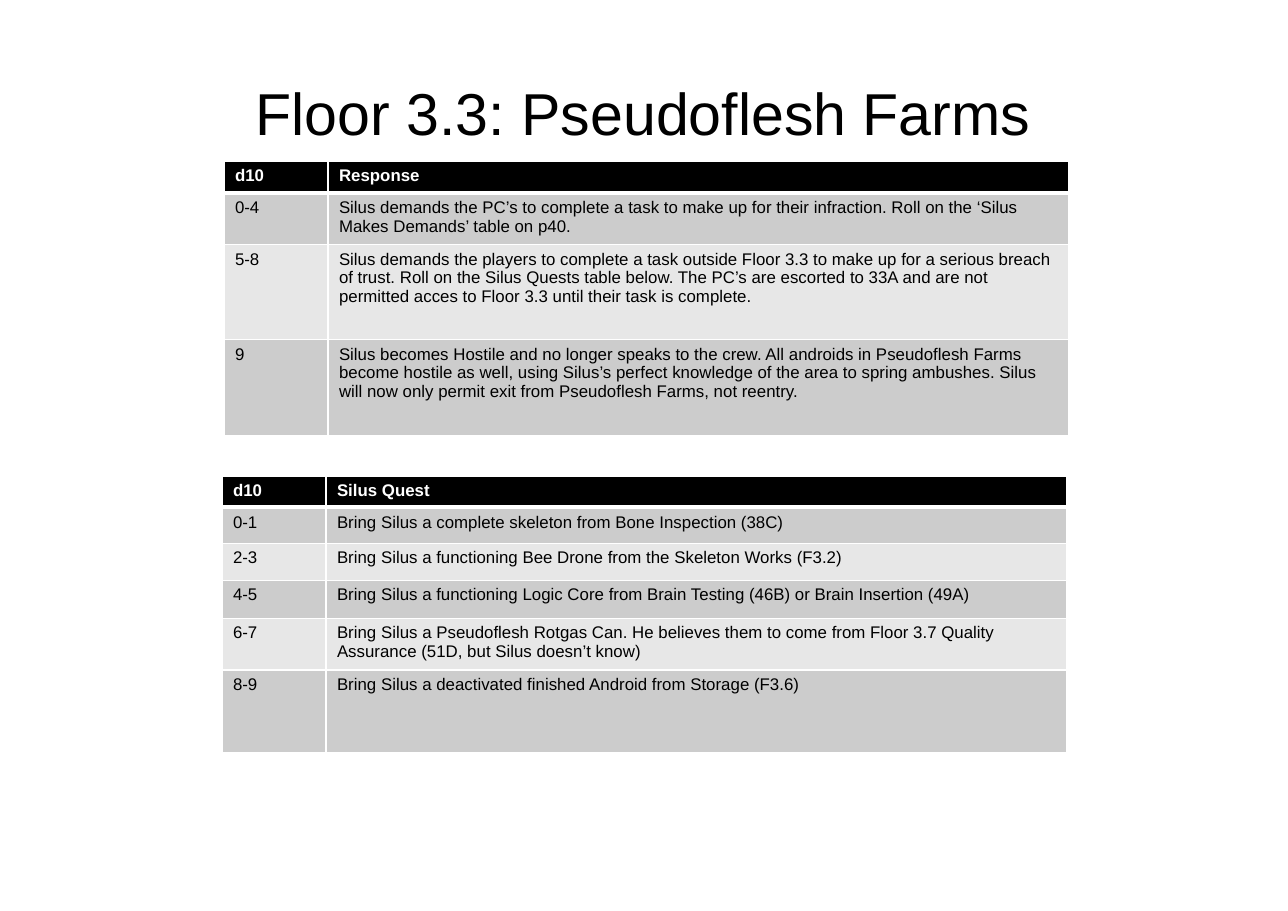
from lxml import etree
from pptx import Presentation
from pptx.dml.color import RGBColor
from pptx.enum.text import MSO_ANCHOR, PP_ALIGN
from pptx.oxml.ns import qn
from pptx.util import Pt

PX = 8298  # EMU per px
BLACK, WHITE = "000000", "FFFFFF"
BANDS = ["E7E7E7", "CCCCCC"]
COLUMN_WIDTHS = [104, 741]


def style_font(font, size, color, bold=False):
    for name, value in dict(name="Arial", size=Pt(size), bold=bold).items():
        setattr(font, name, value)
    font.color.rgb = RGBColor.from_string(color)


def add_border(cell, side, width):
    """Draw a white line of the given point width on side L, R, T or B."""
    line = etree.SubElement(cell._tc.get_or_add_tcPr(), qn(f"a:ln{side}"), w=str(Pt(width)))
    fill = etree.SubElement(line, qn("a:solidFill"))
    etree.SubElement(fill, qn("a:srgbClr"), val=WHITE)


prs = Presentation()
prs.slide_width, prs.slide_height = 1288 * PX, 911 * PX
slide = prs.slides.add_slide(prs.slide_layouts[6])

title = slide.shapes.add_textbox(64 * PX, 36 * PX, 1159 * PX, 152 * PX).text_frame
title.word_wrap = True
title.vertical_anchor = MSO_ANCHOR.MIDDLE
heading = title.paragraphs[0]
heading.text = "Floor 3.3: Pseudoflesh Farms"
heading.alignment = PP_ALIGN.CENTER
style_font(heading.font, 38.6, BLACK)

responses = [
    (32, "d10", "Response"),
    (48, "0-4", "Silus demands the PC’s to complete a task to make up for their infraction. "
     "Roll on the ‘Silus Makes Demands’ table on p40."),
    (95, "5-8", "Silus demands the players to complete a task outside Floor 3.3 to make up for "
     "a serious breach of trust. Roll on the Silus Quests table below. The PC’s are escorted to "
     "33A and are not permitted acces to Floor 3.3 until their task is complete."),
    (96, "9", "Silus becomes Hostile and no longer speaks to the crew. All androids in Pseudoflesh "
     "Farms become hostile as well, using Silus’s perfect knowledge of the area to spring ambushes. "
     "Silus will now only permit exit from Pseudoflesh Farms, not reentry."),
]
quests = [
    (30, "d10", "Silus Quest"),
    (36, "0-1", "Bring Silus a complete skeleton from Bone Inspection (38C)"),
    (37, "2-3", "Bring Silus a functioning Bee Drone from the Skeleton Works (F3.2)"),
    (38, "4-5", "Bring Silus a functioning Logic Core from Brain Testing (46B) or Brain Insertion (49A)"),
    (52, "6-7", "Bring Silus a Pseudoflesh Rotgas Can. He believes them to come from Floor 3.7 "
     "Quality Assurance (51D, but Silus doesn’t know)"),
    (83, "8-9", "Bring Silus a deactivated finished Android from Storage (F3.6)"),
]

for left, top, entries in [(224, 161, responses), (222, 476, quests)]:
    height = sum(entry[0] for entry in entries)
    table = slide.shapes.add_table(len(entries), len(COLUMN_WIDTHS), left * PX, top * PX,
                                   sum(COLUMN_WIDTHS) * PX, height * PX).table
    for column, width in zip(table.columns, COLUMN_WIDTHS):
        column.width = width * PX
    for r, (row_height, *texts) in enumerate(entries):
        table.rows[r].height = row_height * PX
        is_header = r == 0
        borders = dict(L=1, R=1, T=3 if r == 1 else 1, B=3 if is_header else 1)
        for cell, text in zip(table.rows[r].cells, texts):
            for side, width in borders.items():
                add_border(cell, side, width)
            cell.fill.solid()
            cell.fill.fore_color.rgb = RGBColor.from_string(BLACK if is_header else BANDS[r % 2])
            cell.text = text
            style_font(cell.text_frame.paragraphs[0].font, 11, WHITE if is_header else BLACK, is_header)

prs.save("out.pptx")
